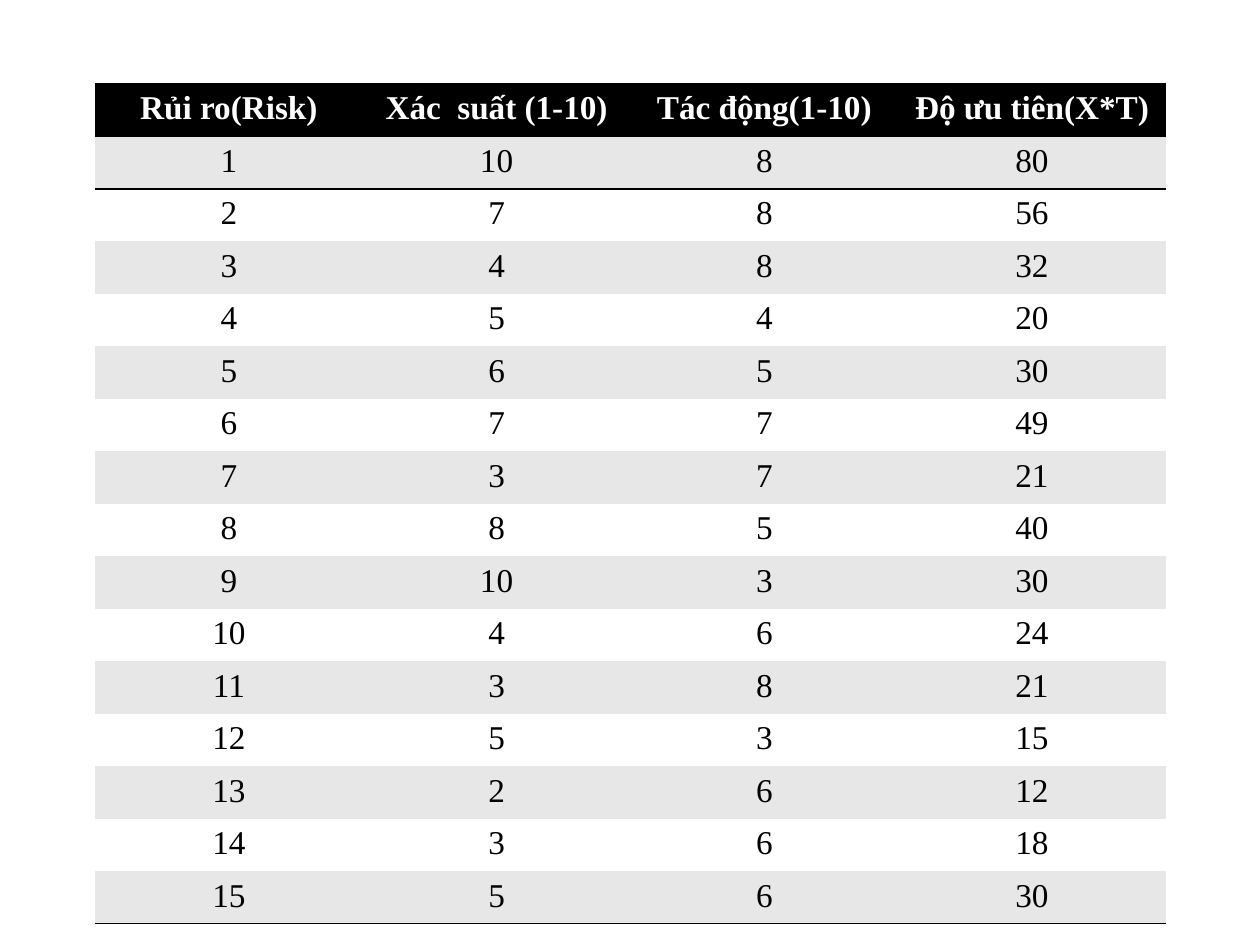
from lxml.etree import SubElement
from pptx import Presentation
from pptx.dml.color import RGBColor
from pptx.enum.text import PP_ALIGN
from pptx.oxml.ns import qn
from pptx.util import Pt

EMU_PER_PX = 914400 / 126
NO_STYLE = "{2D5ABB26-0587-4C30-8999-92F81FD0307C}"
BLACK, WHITE, BAND = "000000", "FFFFFF", "E7E7E7"

HEADINGS = ("Rủi ro(Risk)", "Xác  suất (1-10)", "Tác động(1-10)", "Độ ưu tiên(X*T)")
# Probability, impact and priority of each risk
SCORES = [
    (10, 8, 80), (7, 8, 56), (4, 8, 32), (5, 4, 20), (6, 5, 30),
    (7, 7, 49), (3, 7, 21), (8, 5, 40), (10, 3, 30), (4, 6, 24),
    (3, 8, 21), (5, 3, 15), (2, 6, 12), (3, 6, 18), (5, 6, 30),
]


def px(length):
    return round(length * EMU_PER_PX)


def color(hex_code):
    return RGBColor.from_string(hex_code)


def add_border(cell, side):
    line = SubElement(cell._tc.get_or_add_tcPr(), qn(f"a:ln{side}"), w=str(Pt(0.96)))
    fill = SubElement(line, qn("a:solidFill"))
    SubElement(fill, qn("a:srgbClr"), val=BLACK)


def fill_cell(cell, text, background, text_color, bold, borders):
    # Borders must come before the fill in the cell properties
    for side in borders:
        add_border(cell, side)
    cell.fill.solid()
    cell.fill.fore_color.rgb = color(background)
    cell.text = str(text)
    paragraph = cell.text_frame.paragraphs[0]
    paragraph.alignment = PP_ALIGN.CENTER
    font = paragraph.font
    font.name = "Times New Roman"
    font.size = Pt(19)
    font.bold = bold
    font.color.rgb = color(text_color)


def add_risk_table(slide, left, top, width, height):
    rows = [HEADINGS] + [(risk, *scores) for risk, scores in enumerate(SCORES, 1)]
    last = len(rows) - 1
    table = slide.shapes.add_table(
        len(rows), len(HEADINGS), px(left), px(top), px(width), px(height)
    ).table
    table.first_row = table.horz_banding = False
    table._tbl.tblPr.find(qn("a:tableStyleId")).text = NO_STYLE
    for column in table.columns:
        column.width = px(width / len(HEADINGS))

    for index, values in enumerate(rows):
        table.rows[index].height = px(height / len(rows))
        is_header = index == 0
        background = BLACK if is_header else BAND if index % 2 else WHITE
        text_color = WHITE if is_header else BLACK
        borders = {0: "TB", 1: "T", last: "B"}.get(index, "")
        for cell, value in zip(table.rows[index].cells, values):
            fill_cell(cell, value, background, text_color, is_header, borders)


def main():
    presentation = Presentation()
    presentation.slide_width = px(1260)
    presentation.slide_height = px(945)
    slide = presentation.slides.add_slide(presentation.slide_layouts[6])
    add_risk_table(slide, left=95, top=84, width=1071, height=840)
    presentation.save("out.pptx")


if __name__ == "__main__":
    main()
